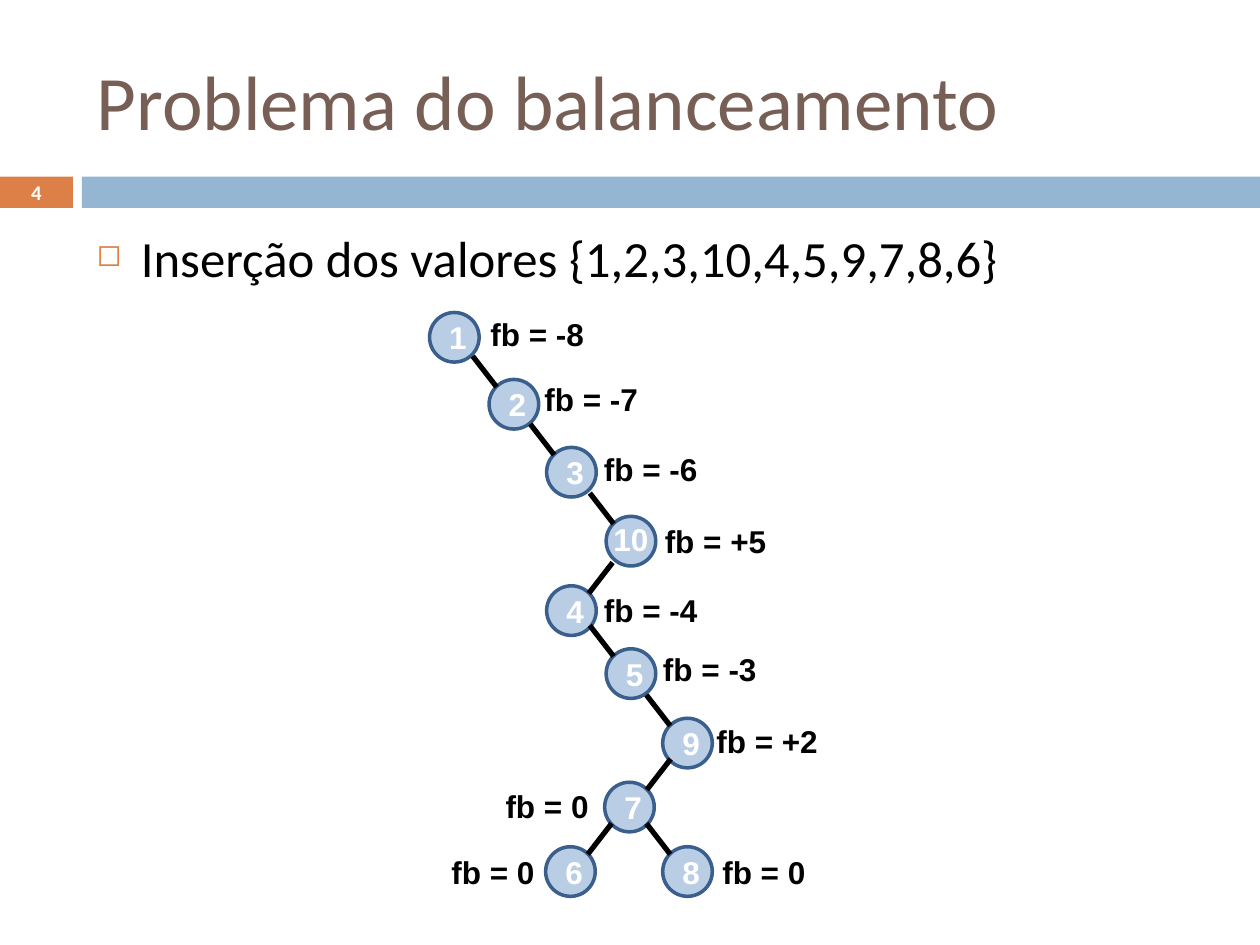
from lxml import etree
from pptx import Presentation
from pptx.dml.color import RGBColor
from pptx.enum.shapes import MSO_CONNECTOR, MSO_SHAPE
from pptx.enum.text import MSO_ANCHOR, PP_ALIGN
from pptx.oxml.ns import qn
from pptx.util import Cm, Pt

RECTANGLE, OVAL = MSO_SHAPE.RECTANGLE, MSO_SHAPE.OVAL
STRAIGHT = MSO_CONNECTOR.STRAIGHT
MIDDLE, TOP = MSO_ANCHOR.MIDDLE, MSO_ANCHOR.TOP
LEFT, CENTER = PP_ALIGN.LEFT, PP_ALIGN.CENTER

COLORS = {
    "title": "775F55", "accent": "DD8047", "band": "94B6D2",
    "node": "B9CDE5", "outline": "3A5F8C", "black": "000000", "white": "FFFFFF",
}
NODE_SIZE = 1.0
CORNER = 0.35           # from a node's centre to its diagonal corner, per axis
EDGE_X, EDGE_Y = 0.48, 0.62

# value: (node left, node top, parent, balance, label left, label top)
TREE = {
    "1": (8.66, 6.3, None, "-8", 9.6, 6.22),
    "2": (9.86, 7.65, "1", "-7", 10.69, 7.54),
    "3": (11.02, 9.02, "2", "-6", 11.89, 8.94),
    "10": (12.22, 10.41, "3", "+5", 13.13, 10.39),
    "4": (11.02, 11.81, "10", "-4", 11.89, 11.79),
    "5": (12.22, 13.08, "4", "-3", 13.08, 12.98),
    "9": (13.36, 14.48, "5", "+2", 14.17, 14.43),
    "7": (12.19, 15.77, "9", "0", 9.8, 15.75),
    "8": (13.36, 17.07, "7", "0", 14.17, 17.07),
    "6": (11.0, 17.07, "7", "0", 8.71, 17.07),
}


def color(name):
    return RGBColor.from_string(COLORS[name])


def write(shape, text, size, color_name, font="Arial", bold=True, align=CENTER, anchor=TOP):
    """Put one formatted run into the shape and return its paragraph."""
    shape.text_frame.vertical_anchor = anchor
    paragraph = shape.text_frame.paragraphs[0]
    paragraph.alignment = align
    run = paragraph.add_run()
    run.text = text
    run.font.name = font
    run.font.size = Pt(size)
    run.font.bold = bold
    run.font.color.rgb = color(color_name)
    return paragraph


presentation = Presentation()
presentation.slide_width, presentation.slide_height = Cm(25.4), Cm(19.05)
slide = presentation.slides.add_slide(presentation.slide_layouts[6])
shapes = slide.shapes

# Header band and page number
for left, width, fill in ((0, 1.47, "accent"), (1.65, 23.75, "band")):
    bar = shapes.add_shape(RECTANGLE, Cm(left), Cm(3.56), Cm(width), Cm(0.63))
    bar.shadow.inherit = False
    bar.fill.solid()
    bar.fill.fore_color.rgb = color(fill)
    bar.line.fill.background()

title = shapes.add_textbox(Cm(1.7), Cm(0.64), Cm(22.66), Cm(2.74))
title.text_frame.word_wrap = True
write(title, "Problema do balanceamento", 44, "title", "Calibri", False, LEFT, MIDDLE)

page_number = shapes.add_textbox(Cm(0), Cm(3.53), Cm(1.47), Cm(0.69))
page_number.text_frame.word_wrap = True
write(page_number, "4", 11.9, "white", "Calibri", anchor=MIDDLE)

# Bulleted statement
body = shapes.add_textbox(Cm(1.7), Cm(4.45), Cm(22.66), Cm(12.5))
body.text_frame.word_wrap = True
paragraph = write(body, "Inserção dos valores {1,2,3,10,4,5,9,7,8,6}", 29, "black",
                  "Calibri", False, LEFT)
properties = paragraph._p.get_or_add_pPr()
properties.set("marL", str(Cm(0.89)))
properties.set("indent", str(-Cm(0.89)))
bullet_color = etree.SubElement(properties, qn("a:buClr"))
etree.SubElement(bullet_color, qn("a:srgbClr"), val=COLORS["accent"])
etree.SubElement(properties, qn("a:buSzPct"), val="60000")
etree.SubElement(properties, qn("a:buChar"), char="◻")

# Tree: each node with its edge to the parent and its balance factor
for value, (left, top, parent, balance, label_left, label_top) in TREE.items():
    node = shapes.add_shape(OVAL, Cm(left), Cm(top), Cm(NODE_SIZE), Cm(NODE_SIZE))
    node.shadow.inherit = False
    node.fill.solid()
    node.fill.fore_color.rgb = color("node")
    node.line.color.rgb = color("outline")
    node.line.width = Pt(2)

    if parent:
        side = 1 if TREE[parent][0] > left else -1
        start_x = left + NODE_SIZE / 2 + side * CORNER
        start_y = top + NODE_SIZE / 2 - CORNER
        edge = shapes.add_connector(STRAIGHT, Cm(start_x), Cm(start_y),
                                    Cm(start_x + side * EDGE_X), Cm(start_y - EDGE_Y))
        edge.line.color.rgb = color("black")
        edge.line.width = Pt(3)
        etree.SubElement(edge._element.spPr, qn("a:effectLst"))

    if len(value) == 1:
        write(node, value, 18, "white", anchor=MIDDLE)
    else:  # two digits need a box wider than the node
        number = shapes.add_textbox(Cm(left - 0.15), Cm(top - 0.05), Cm(1.3), Cm(1.02))
        number.text_frame.word_wrap = False
        write(number, value, 18, "white")

    label_width = 2.59 if balance.startswith("+") else 2.46
    label = shapes.add_textbox(Cm(label_left), Cm(label_top), Cm(label_width), Cm(1.02))
    label.text_frame.word_wrap = False
    write(label, f"fb = {balance}", 18, "black")

presentation.save("out.pptx")
